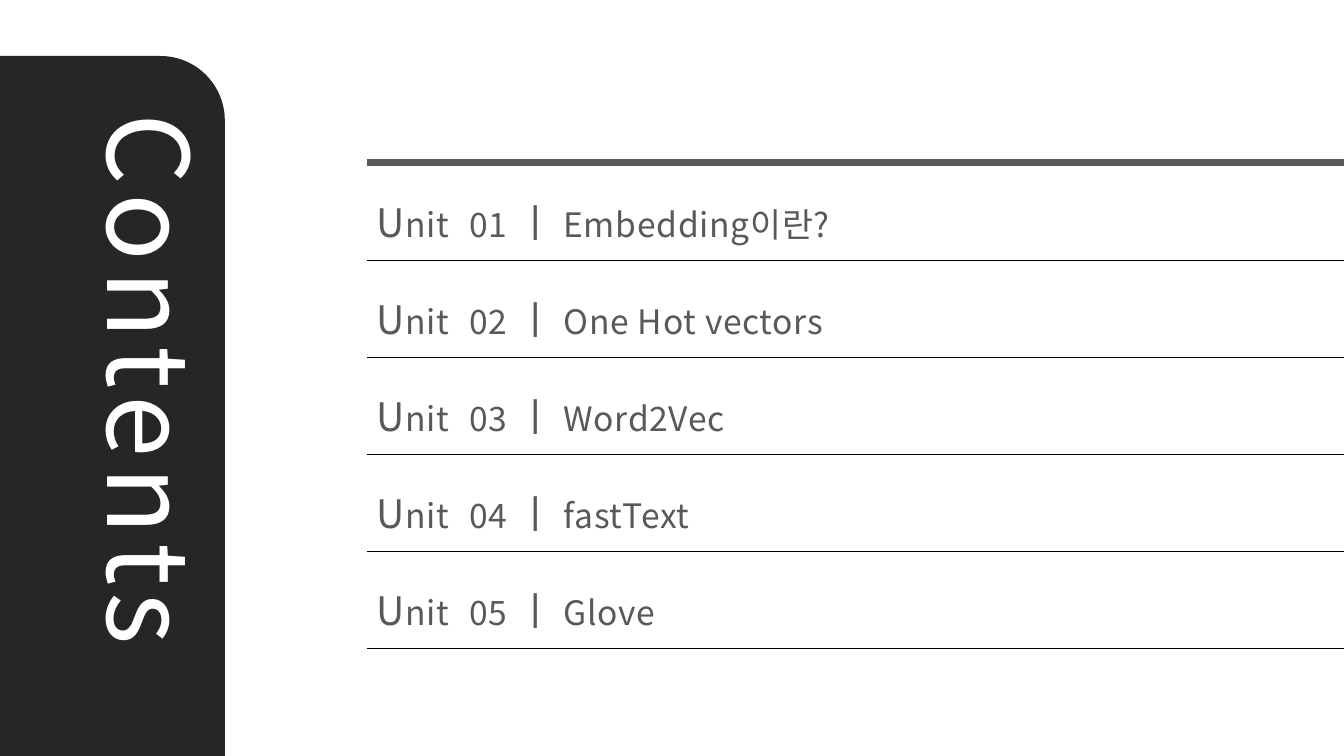
from dataclasses import dataclass

from lxml.etree import SubElement
from pptx import Presentation
from pptx.dml.color import RGBColor
from pptx.enum.shapes import MSO_CONNECTOR as Connector, MSO_SHAPE as Shape
from pptx.enum.text import MSO_ANCHOR as Anchor, MSO_AUTO_SIZE as AutoSize
from pptx.oxml.ns import qn
from pptx.util import Pt


@dataclass(frozen=True)
class Theme:
    font: str = "Noto Sans CJK KR"
    panel: str = "262626"
    title: str = "FFFFFF"
    text: str = "595959"
    rule: str = "000000"
    title_size: int = 80
    large: int = 28
    small: int = 24
    title_spacing: float = 6
    spacing: float = 0.5
    wide_spacing: float = 7.3


THEME = Theme()
PAGE_WIDTH, PAGE_HEIGHT = 960, 540
LIST_LEFT, LIST_TOP = 262, 116
ROW_TOP, ROW_PITCH = 131, 69.3
ROW_WIDTH, ROW_HEIGHT = 679, 55.4
RULE_OFFSET = 55
UNITS = ["Embedding이란?", "One Hot vectors", "Word2Vec", "fastText", "Glove"]


def color(value):
    return RGBColor.from_string(value)


def add_span(para, text, size, fill, spacing):
    span = para.add_run()
    span.text = text
    span.font.size = Pt(size)
    span.font.name = THEME.font
    span.font.color.rgb = color(fill)
    properties = span.font._element
    properties.set("spc", str(round(spacing * 100)))
    SubElement(properties, qn("a:ea")).set("typeface", THEME.font)


def add_panel(shapes):
    top, width, radius = 40, 160.6, 46
    panel = shapes.add_shape(
        Shape.ROUND_1_RECTANGLE, Pt(0), Pt(top), Pt(width), Pt(PAGE_HEIGHT - top)
    )
    panel.adjustments[0] = radius / width
    panel.shadow.inherit = False
    panel.fill.solid()
    panel.fill.fore_color.rgb = color(THEME.panel)
    panel.line.fill.background()


def add_title(shapes, text):
    box = shapes.add_textbox(Pt(-142.6), Pt(272.9), Pt(501.8), Pt(104.4))
    box.rotation = 90
    frame = box.text_frame
    frame.word_wrap = True
    frame.auto_size = AutoSize.SHAPE_TO_FIT_TEXT
    add_span(
        frame.paragraphs[0], text, THEME.title_size, THEME.title, THEME.title_spacing
    )


def add_rule(shapes, top, fill, weight):
    rule = shapes.add_connector(
        Connector.STRAIGHT, Pt(LIST_LEFT), Pt(top), Pt(PAGE_WIDTH), Pt(top)
    )
    rule.line.color.rgb = color(fill)
    rule.line.width = Pt(weight)
    SubElement(rule._element.spPr, qn("a:effectLst"))


def add_unit(shapes, number, name, top):
    box = shapes.add_textbox(Pt(LIST_LEFT), Pt(top), Pt(ROW_WIDTH), Pt(ROW_HEIGHT))
    frame = box.text_frame
    frame.word_wrap = True
    frame.vertical_anchor = Anchor.MIDDLE
    for text, size, spacing in [
        ("U", THEME.large, THEME.spacing),
        ("nit", THEME.small, THEME.spacing),
        (" ", THEME.large, THEME.wide_spacing),
        (f"{number:02}", THEME.small, THEME.spacing),
        (" ㅣ ", THEME.large, THEME.spacing),
        (name, THEME.small, THEME.spacing),
    ]:
        add_span(frame.paragraphs[0], text, size, THEME.text, spacing)


def add_unit_list(page):
    shapes = page.shapes.add_group_shape().shapes
    add_rule(shapes, LIST_TOP, THEME.text, 5)
    for index, name in enumerate(UNITS):
        top = ROW_TOP + index * ROW_PITCH
        add_unit(shapes, index + 1, name, top)
        add_rule(shapes, top + RULE_OFFSET, THEME.rule, 1)


def main():
    deck = Presentation()
    deck.slide_width, deck.slide_height = Pt(PAGE_WIDTH), Pt(PAGE_HEIGHT)
    page = deck.slides.add_slide(deck.slide_layouts[6])
    add_panel(page.shapes)
    add_title(page.shapes, "Contents")
    add_unit_list(page)
    deck.save("out.pptx")


if __name__ == "__main__":
    main()
